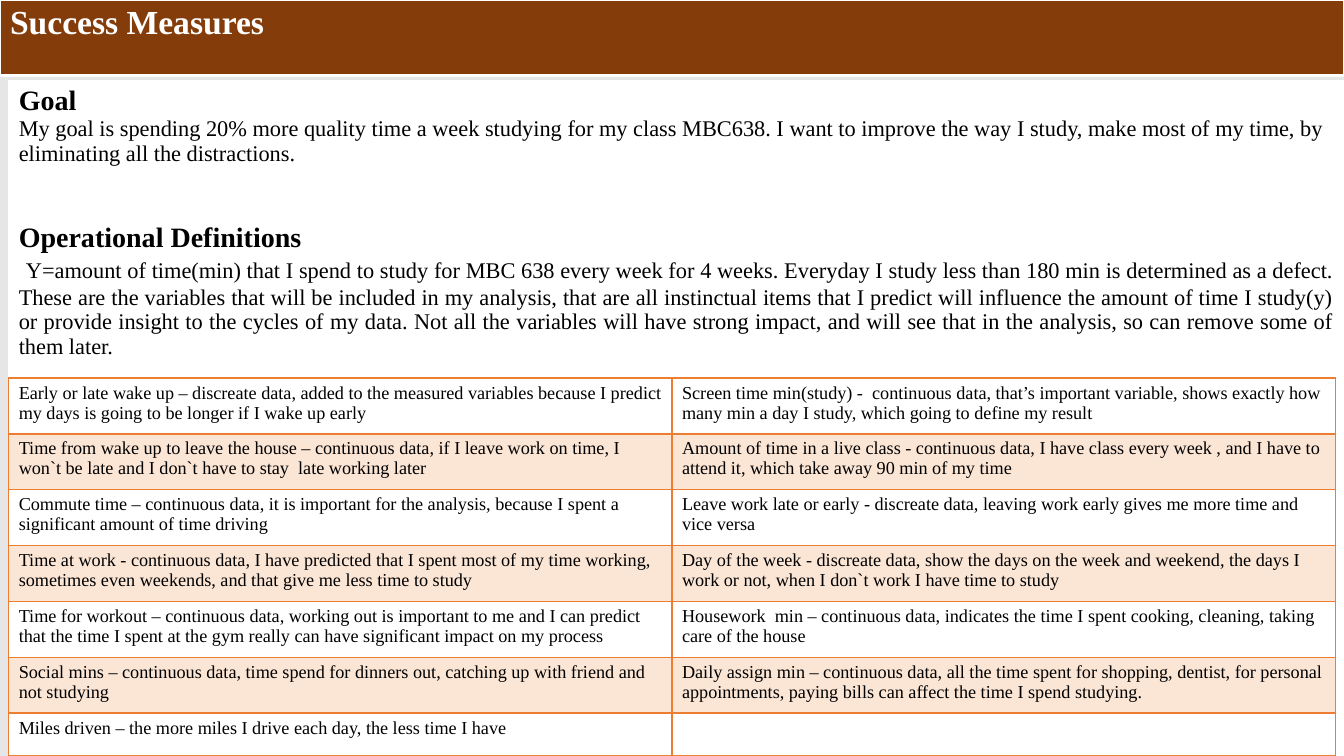
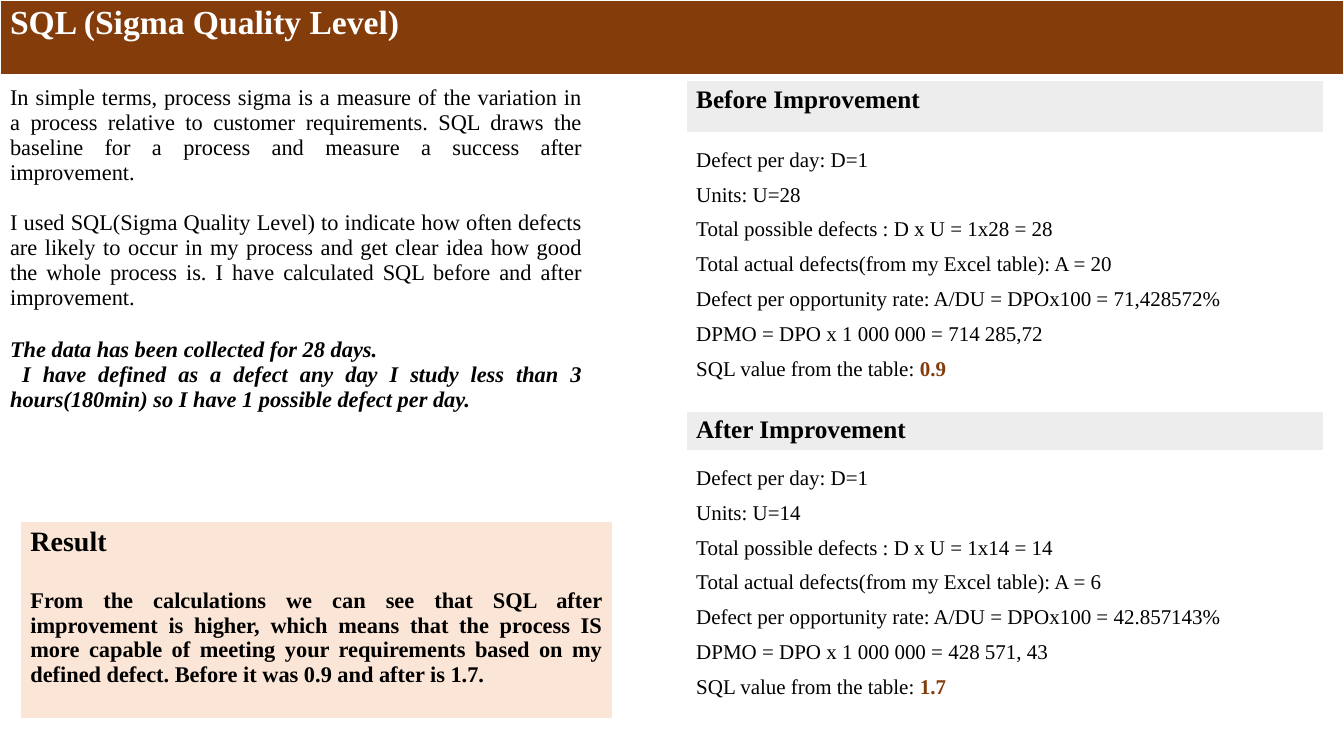
"""Build two slides on study-time success measures and the sigma quality level."""
from lxml import etree
from pptx import Presentation
from pptx.dml.color import RGBColor
from pptx.enum.text import PP_ALIGN
from pptx.oxml.ns import qn
from pptx.util import Pt

LEFT, JUSTIFY = PP_ALIGN.LEFT, PP_ALIGN.JUSTIFY
FONT = "Times New Roman"
BROWN = RGBColor(0x84, 0x3C, 0x0B)
ORANGE = RGBColor(0xED, 0x7D, 0x31)
PEACH = RGBColor(0xFB, 0xE5, 0xD6)
LIGHT = RGBColor(0xED, 0xED, 0xED)
GREY = RGBColor(0xE7, 0xE6, 0xE6)
WHITE = RGBColor(0xFF, 0xFF, 0xFF)
BLACK = RGBColor(0x00, 0x00, 0x00)
BODY_TOP = 57.6


def add_grid(s, left, top, widths, heights, fills, border=WHITE, rule=3):
    """Add a table with one fill per row and a heavier rule under the first row."""
    frame = s.shapes.add_table(len(heights), len(widths), Pt(left), Pt(top),
                               Pt(sum(widths)), Pt(sum(heights)))
    table = frame.table
    table.first_row = table.horz_banding = False
    for col, width in zip(table.columns, widths):
        col.width = Pt(width)
    for i, (row, height, fill) in enumerate(zip(table.rows, heights, fills)):
        row.height = Pt(height)
        for cell in row.cells:
            tc_pr = cell._tc.get_or_add_tcPr()
            for edge in ("lnL", "lnR", "lnT", "lnB"):
                heavy = (i, edge) in ((0, "lnB"), (1, "lnT"))
                ln = etree.SubElement(tc_pr, qn(f"a:{edge}"), w=str(Pt(rule if heavy else 1)))
                solid = etree.SubElement(ln, qn("a:solidFill"))
                etree.SubElement(solid, qn("a:srgbClr"), val=str(border))
            if fill is None:
                cell.fill.background()
                continue
            cell.fill.solid()
            cell.fill.fore_color.rgb = fill
            if fill == ORANGE:
                clr = tc_pr.find(qn("a:solidFill")).find(qn("a:srgbClr"))
                etree.SubElement(clr, qn("a:alpha"), val="20000")
    return table


def write(tf, items, color=BLACK):
    """Write (text, size, bold, alignment) items; no alignment continues the last paragraph."""
    for i, (text, size, bold, align, before) in enumerate(items):
        if align is None:
            p = tf.paragraphs[-1]
        else:
            p = tf.add_paragraph() if i else tf.paragraphs[0]
            p.alignment = align
            p.space_before = Pt(before)
        r = p.add_run()
        r.text = text
        r.font.name = FONT
        r.font.size = Pt(size)
        r.font.bold = bold
        r.font.color.rgb = color


prs = Presentation()
prs.slide_width, prs.slide_height = Pt(960), Pt(540)

slides = []
for title, background in (("Success Measures", GREY), ("SQL (Sigma Quality Level)", WHITE)):
    s = prs.slides.add_slide(prs.slide_layouts[6])
    s.background.fill.solid()
    s.background.fill.fore_color.rgb = background
    band = add_grid(s, 0, 0, [960], [54], [BROWN])
    write(band.cell(0, 0).text_frame, [(title, 24, True, LEFT, 0)], WHITE)
    slides.append(s)
measures, sigma = slides

goal = add_grid(measures, 6.2, BODY_TOP, [954], [98, 384.4], [WHITE, WHITE], rule=1)
write(goal.cell(0, 0).text_frame, [
    ("Goal", 20, True, LEFT, 0),
    ("My goal is spending 20% more quality time a week studying for my class MBC638. "
     "I want to improve the way I study, make most of my time, by eliminating all the "
     "distractions.", 16, False, LEFT, 0),
])
write(goal.cell(1, 0).text_frame, [
    ("Operational Definitions", 20, True, LEFT, 0),
    (" ", 20, True, JUSTIFY, 0),
    ("Y=amount of time(min) that I spend to study for MBC 638 every week for 4 weeks. "
     "Everyday I study less than 180 min is determined as a defect. These are the variables "
     "that will be included in my analysis, that are all instinctual items that I predict will "
     "influence the amount of time I study(y) or provide insight to the cycles of my data. Not "
     "all the variables will have strong impact, and will see that in the analysis, so can "
     "remove some of them later. ", 16, False, None, 0),
])

variables = [
    ("Early or late wake up – discreate data, added to the measured variables because I predict "
     "my days is going to be longer if I wake up early",
     "Screen time min(study) -  continuous data, that’s important variable, shows exactly how "
     "many min a day I study, which going to define my result"),
    ("Time from wake up to leave the house – continuous data, if I leave work on time, I won`t "
     "be late and I don`t have to stay  late working later",
     "Amount of time in a live class - continuous data, I have class every week , and I have to "
     "attend it, which take away 90 min of my time"),
    ("Commute time – continuous data, it is important for the analysis, because I spent a "
     "significant amount of time driving",
     "Leave work late or early - discreate data, leaving work early gives me more time and "
     "vice versa"),
    ("Time at work - continuous data, I have predicted that I spent most of my time working, "
     "sometimes even weekends, and that give me less time to study",
     "Day of the week - discreate data, show the days on the week and weekend, the days I work "
     "or not, when I don`t work I have time to study"),
    ("Time for workout – continuous data, working out is important to me and I can predict that "
     "the time I spent at the gym really can have significant impact on my process",
     "Housework  min – continuous data, indicates the time I spent cooking, cleaning, taking "
     "care of the house"),
    ("Social mins – continuous data, time spend for dinners out, catching up with friend and "
     "not studying",
     "Daily assign min – continuous data, all the time spent for shopping, dentist, for personal "
     "appointments, paying bills can affect the time I spend studying."),
    ("Miles driven – the more miles I drive each day, the less time I have", ""),
]
fills = [ORANGE if i % 2 else None for i in range(len(variables))]
grid = add_grid(measures, 6.2, 270, [473.8, 473.8], [39.9] * 6 + [30.2], fills, ORANGE, 2)
for row, texts in zip(grid.rows, variables):
    for cell, text in zip(row.cells, texts):
        if text:
            write(cell.text_frame, [(text, 13, False, LEFT, 0)])

intro = add_grid(sigma, 0, BODY_TOP, [423], [482.4], [WHITE])
tf = intro.cell(0, 0).text_frame
write(tf, [
    ("In simple terms, process sigma is a measure of the variation in a process relative to "
     "customer requirements. SQL draws the baseline for a process and measure a success after "
     "improvement.", 16, False, JUSTIFY, 0),
    ("I used SQL(Sigma Quality Level) to indicate how often defects are likely to occur in my "
     "process and get clear idea how good the whole process is. I have calculated SQL before "
     "and after improvement.", 16, False, JUSTIFY, 18),
    ("The data has been collected for 28 days.", 16, True, JUSTIFY, 20),
    (" I have defined as a defect any day I study less than 3 hours(180min) so I have 1 "
     "possible defect per day.", 16, True, JUSTIFY, 0),
])
for p in tf.paragraphs[2:]:
    p.runs[0].font.italic = True

result = add_grid(sigma, 14.5, 372.3, [423], [142], [PEACH])
write(result.cell(0, 0).text_frame, [
    ("Result", 20, True, LEFT, 0),
    ("From the calculations we can see that SQL after improvement is higher, which means that "
     "the process IS more capable of meeting your requirements based on my defined defect. "
     "Before it was 0.9 and after is 1.7.", 16, True, JUSTIFY, 22),
])

panels = [
    ("Before Improvement", BODY_TOP, [36.8, 188], 28, "20", "71,428572%", "714 285,72", "0.9"),
    ("After Improvement", 293.6, [28, 216], 14, "6", "42.857143%", "428 571, 43", "1.7"),
]
for heading, top, heights, units, actual, rate, dpmo, level in panels:
    panel = add_grid(sigma, 490.1, top, [455.4], heights, [LIGHT, WHITE], rule=1)
    write(panel.cell(0, 0).text_frame, [(heading, 18, True, LEFT, 0)])
    lines = [
        "Defect per day: D=1",
        f"Units: U={units}",
        f"Total possible defects : D x U = 1x{units} = {units}",
        f"Total actual defects(from my Excel table): A = {actual}",
        f"Defect per opportunity rate: A/DU = DPOx100 = {rate}",
        f"DPMO = DPO x 1 000 000 = {dpmo}",
        "SQL value from the table: ",
    ]
    tf = panel.cell(1, 0).text_frame
    write(tf, [(line, 15, False, LEFT, 0) for line in lines])
    write(tf, [(level, 15, True, None, 0)], BROWN)
    for p in tf.paragraphs:
        p.line_spacing = 1.5

prs.save("out.pptx")
